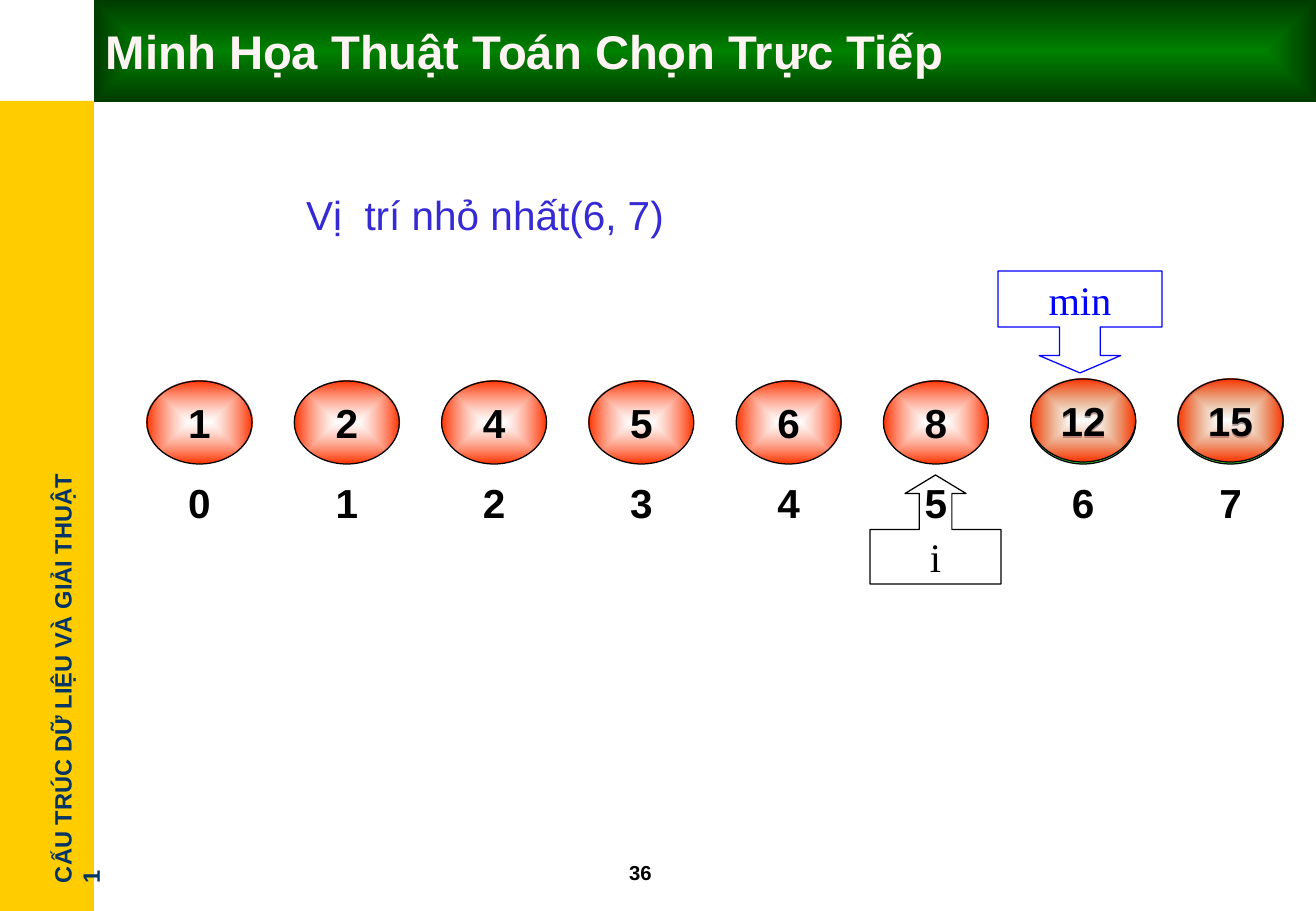
from lxml import etree
from pptx import Presentation
from pptx.dml.color import RGBColor
from pptx.enum import shapes, text
from pptx.oxml.ns import qn
from pptx.util import Emu, Pt

PX = 914400 / 121.5
SLIDE_W, SLIDE_H = 1316, 911

TITLE = "Minh Họa Thuật Toán Chọn Trực Tiếp"
COURSE = "CẤU TRÚC DỮ LIỆU VÀ GIẢI THUẬT 1"
PAGE = "36"
STEP_NOTE = "Vị  trí nhỏ nhất(6, 7)"
VALUES = [1, 2, 4, 5, 6, 8, 12, 15]
SORTED_LAST = 2  # values that get a new ball over the unsorted one

# kind, text, colour, box, adjustments
POINTERS = [
    (shapes.MSO_SHAPE.UP_ARROW_CALLOUT, "i", "000000",
     (870, 475, 131, 109), (0.3, 0.28, 0.17, 0.5)),
    (shapes.MSO_SHAPE.DOWN_ARROW_CALLOUT, "min", "0000FF",
     (998, 271, 164, 102), (0.4, 0.4, 0.17, 0.55)),
]

SIDEBAR_W, HEADER_H = 94, 102
BALL_W, BALL_H = 105, 83
FIRST_X, LAST_X = 147, 1178
BALL_Y, SORTED_Y, INDEX_Y = 381, 379, 460
GREEN, RED = "33CC33", "FF3300"

RECT, OVAL = shapes.MSO_SHAPE.RECTANGLE, shapes.MSO_SHAPE.OVAL
CENTER, LEFT = text.PP_ALIGN.CENTER, text.PP_ALIGN.LEFT

deck = Presentation()
deck.slide_width, deck.slide_height = Emu(round(SLIDE_W * PX)), Emu(round(SLIDE_H * PX))
slide = deck.slides.add_slide(deck.slide_layouts[6])


def rgb(value):
    return RGBColor.from_string(value)


def emu(box):
    return [Emu(round(length * PX)) for length in box]


def add_shape(kind, box, fill=None, line=None):
    shape = slide.shapes.add_shape(kind, *emu(box))
    shape.shadow.inherit = False
    if fill:
        shape.fill.solid()
        shape.fill.fore_color.rgb = rgb(fill)
    else:
        shape.fill.background()
    if line:
        shape.line.color.rgb = rgb(line)
        shape.line.width = Pt(0.75)
    else:
        shape.line.fill.background()
    return shape


def fill_from_center(shape, inner, outer, inner_alpha=100):
    """Gradient running from the middle of the shape to its outline."""
    shape.fill.gradient()
    grad = shape.fill._xPr.find(qn("a:gradFill"))
    for child in list(grad):
        grad.remove(child)
    stops = etree.SubElement(grad, qn("a:gsLst"))
    for pos, color, alpha in ((0, inner, inner_alpha), (100, outer, 100)):
        stop = etree.SubElement(stops, qn("a:gs"), pos=str(pos * 1000))
        clr = etree.SubElement(stop, qn("a:srgbClr"), val=color)
        if alpha < 100:
            etree.SubElement(clr, qn("a:alpha"), val=str(alpha * 1000))
    route = etree.SubElement(grad, qn("a:path"), path="shape")
    etree.SubElement(route, qn("a:fillToRect"), l="50000", t="50000", r="50000", b="50000")


def write(shape, words, size=24, color="000000", bold=True, font="Arial",
          align=CENTER, wrap=False, side=0):
    frame = shape.text_frame
    frame.text = words
    frame.word_wrap = wrap
    frame.vertical_anchor = text.MSO_ANCHOR.MIDDLE
    frame.margin_top = frame.margin_bottom = 0
    frame.margin_left = frame.margin_right = emu([side])[0]
    paragraph = frame.paragraphs[0]
    paragraph.alignment = align
    run = paragraph.runs[0].font
    run.size, run.bold, run.name = Pt(size), bold, font
    run.color.rgb = rgb(color)


def ball_x(index):
    return FIRST_X + (LAST_X - FIRST_X) * index / (len(VALUES) - 1)


def add_ball(index, y, color):
    ball = add_shape(OVAL, (ball_x(index), y, BALL_W, BALL_H), line="000000")
    fill_from_center(ball, "FFFFFF", color, 60)
    write(ball, str(VALUES[index]))


# Frame of the slide
add_shape(RECT, (0, 101, SIDEBAR_W, SLIDE_H - 101), "FFCC00")

course = slide.shapes.add_textbox(*emu((-166, 650, 452, 40)))
course.rotation = 270
write(course, COURSE, 14, "003366", align=LEFT, wrap=True, side=13)
course.text_frame.vertical_anchor = text.MSO_ANCHOR.TOP
course.text_frame.margin_top = emu([8])[0]

page = slide.shapes.add_textbox(*emu((617, 854, 101, 36)))
write(page, PAGE, 12, align=LEFT, side=12)

header = add_shape(RECT, (SIDEBAR_W, 0, SLIDE_W - SIDEBAR_W, HEADER_H))
fill_from_center(header, "008000", "003B00")
write(header, TITLE, 28, "FFF3F3", align=LEFT, wrap=True, side=12)

# Array, pointers and indices
first_sorted = len(VALUES) - SORTED_LAST
for index in range(len(VALUES)):
    add_ball(index, BALL_Y, RED if index < first_sorted else GREEN)

for kind, label, color, box, adjustments in POINTERS:
    pointer = add_shape(kind, box, line=color)
    for number, value in enumerate(adjustments):
        pointer.adjustments[number] = value
    write(pointer, label, color=color, bold=False, font="Times New Roman")

for index in range(len(VALUES)):
    label = slide.shapes.add_textbox(*emu((ball_x(index), INDEX_Y, BALL_W, 84)))
    write(label, str(index))

note = add_shape(RECT, (277, 184, 416, 61), "FFFFFF")
write(note, STEP_NOTE, color="362AD4", bold=False)

for index in range(first_sorted, len(VALUES)):
    add_ball(index, SORTED_Y, RED)

deck.save("out.pptx")
